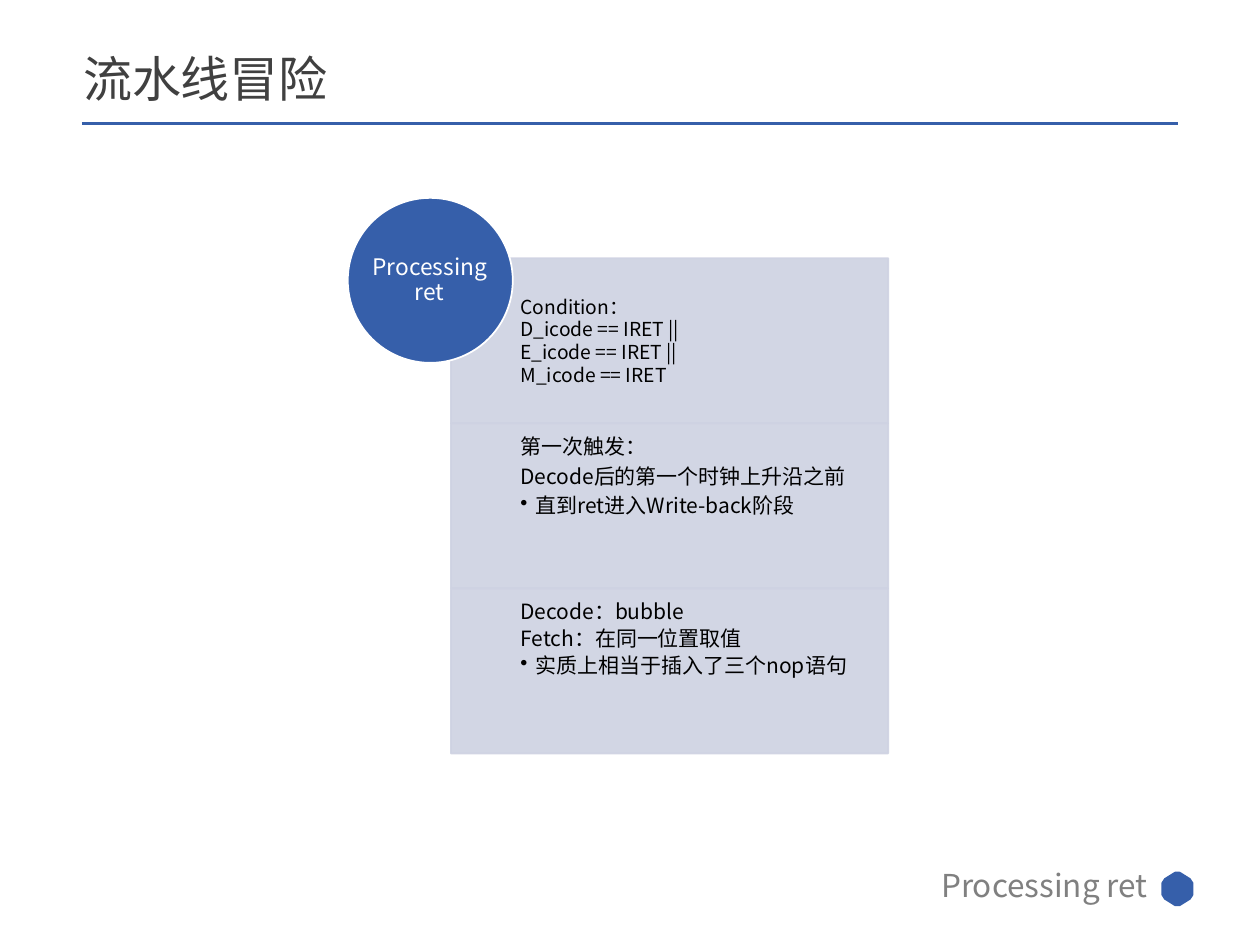
from lxml import etree
from pptx import Presentation
from pptx.dml.color import RGBColor
from pptx.enum.shapes import MSO_CONNECTOR, MSO_SHAPE as SHAPE
from pptx.enum.text import MSO_ANCHOR as ANCHOR, MSO_AUTO_SIZE, PP_ALIGN as ALIGN
from pptx.oxml.ns import qn
from pptx.util import Inches, Pt

BLUE = RGBColor(0x36, 0x5F, 0xAA)
PALE = RGBColor(0xCE, 0xD2, 0xE2)
WHITE = RGBColor(0xFF, 0xFF, 0xFF)
BLACK = RGBColor(0, 0, 0)
DARK = RGBColor(0x40, 0x40, 0x40)
GREY = RGBColor(0x80, 0x80, 0x80)
FONT = "Noto Sans CJK SC"
BULLET = "• "


def write(box, text, size, color, align=ALIGN.LEFT, anchor=ANCHOR.TOP,
          insets=(0, 0, 0, 0), spacing=0.9, after=0):
    """Fill a text frame; lines that start with the bullet mark become list items."""
    frame = box.text_frame
    frame.word_wrap = True
    frame.auto_size = MSO_AUTO_SIZE.NONE
    frame.vertical_anchor = anchor
    (frame.margin_left, frame.margin_top,
     frame.margin_right, frame.margin_bottom) = map(Inches, insets)
    frame.text = text.replace(BULLET, "")
    for paragraph, line in zip(frame.paragraphs, text.split("\n")):
        paragraph.alignment = align
        paragraph.line_spacing = spacing
        paragraph.space_before = Pt(0)
        paragraph.space_after = Pt(after)
        props = paragraph._p.get_or_add_pPr()
        bulleted = line.startswith(BULLET)
        props.set("marL", str(Inches(0.12) if bulleted else 0))
        props.set("indent", str(Inches(-0.12) if bulleted else 0))
        if bulleted:
            etree.SubElement(props, qn("a:buChar")).set("char", "•")
        else:
            etree.SubElement(props, qn("a:buNone"))
        for run in paragraph.runs:
            run.font.name = FONT
            run.font.size = Pt(size)
            run.font.color.rgb = color
            etree.SubElement(run._r.get_or_add_rPr(), qn("a:ea")).set("typeface", FONT)


def paint(shape, fill, line, width, opacity=None):
    shape.shadow.inherit = False
    shape.fill.solid()
    shape.fill.fore_color.rgb = fill
    shape.line.color.rgb = line
    shape.line.width = Pt(width)
    if opacity:
        for color in shape._element.spPr.iter(qn("a:srgbClr")):
            etree.SubElement(color, qn("a:alpha")).set("val", str(opacity * 1000))


prs = Presentation()
prs.slide_width, prs.slide_height = Inches(10), Inches(7.5)
slide = prs.slides.add_slide(prs.slide_layouts[1])
shapes = slide.shapes

# Heading and footer caption
heading, caption = slide.placeholders
for holder, area in ((heading, (0.56, 0.41, 5.28, 0.48)),
                     (caption, (3.83, 6.88, 5.38, 0.33))):
    holder.left, holder.top, holder.width, holder.height = map(Inches, area)
write(heading, "流水线冒险", 28, DARK, anchor=ANCHOR.MIDDLE, insets=(0.1, 0.05, 0.1, 0.05))
write(caption, "Processing ret", 18, GREY, align=ALIGN.RIGHT, anchor=ANCHOR.MIDDLE,
      insets=(0.1, 0.05, 0.1, 0.05))

# Rule under the heading
rule = shapes.add_connector(MSO_CONNECTOR.STRAIGHT, Inches(0.65), Inches(0.98),
                            Inches(9.35), Inches(0.98))
rule.line.color.rgb = BLUE
rule.line.width = Pt(1.5)
etree.SubElement(rule._element.spPr, qn("a:effectLst"))

# Hexagon with blunt corners beside the caption
right_half = [(9.36, 6.93), (9.44, 6.98), (9.46, 7.01),
              (9.46, 7.1), (9.44, 7.13), (9.36, 7.18)]
left_half = [(18.69 - x, y) for x, y in reversed(right_half)]
corners = [(Inches(x), Inches(y)) for x, y in right_half + left_half]
outline = shapes.build_freeform(*corners[0], scale=1.0)
outline.add_line_segments(corners[1:], close=True)
paint(outline.convert_to_shape(), BLUE, BLUE, 1.75)

# Stacked panels: text, size, line spacing, space after, anchor
panels = [
    ("Condition：\nD_icode == IRET ||\nE_icode == IRET ||\nM_icode == IRET",
     11, Pt(13), 0, ANCHOR.MIDDLE),
    ("第一次触发：\nDecode后的第一个时钟上升沿之前\n" + BULLET + "直到ret进入Write-back阶段",
     12, Pt(13.5), 3.6, ANCHOR.TOP),
    ("Decode：bubble\nFetch：在同一位置取值\n" + BULLET + "实质上相当于插入了三个nop语句",
     12, Pt(13.5), 2, ANCHOR.TOP),
]
panel_height = 1.31
for row, (text, size, spacing, after, anchor) in enumerate(panels):
    top = Inches(2.05 + row * panel_height)
    panel = shapes.add_shape(SHAPE.RECTANGLE, Inches(3.58), top,
                             Inches(3.47), Inches(panel_height))
    paint(panel, PALE, PALE, 1, opacity=90)
    details = shapes.add_textbox(Inches(4.13), top, Inches(2.91), Inches(panel_height))
    write(details, text, size, BLACK, anchor=anchor, insets=(0, 0.09, 0.09, 0.09),
          spacing=spacing, after=after)

# Topic circle
circle = shapes.add_shape(SHAPE.OVAL, Inches(2.76), Inches(1.57), Inches(1.31), Inches(1.31))
paint(circle, BLUE, WHITE, 1)
topic = shapes.add_textbox(Inches(2.95), Inches(1.76), Inches(0.92), Inches(0.92))
write(topic, "Processing ret", 13, WHITE, align=ALIGN.CENTER, anchor=ANCHOR.MIDDLE,
      spacing=Pt(14.3))

prs.save("out.pptx")
